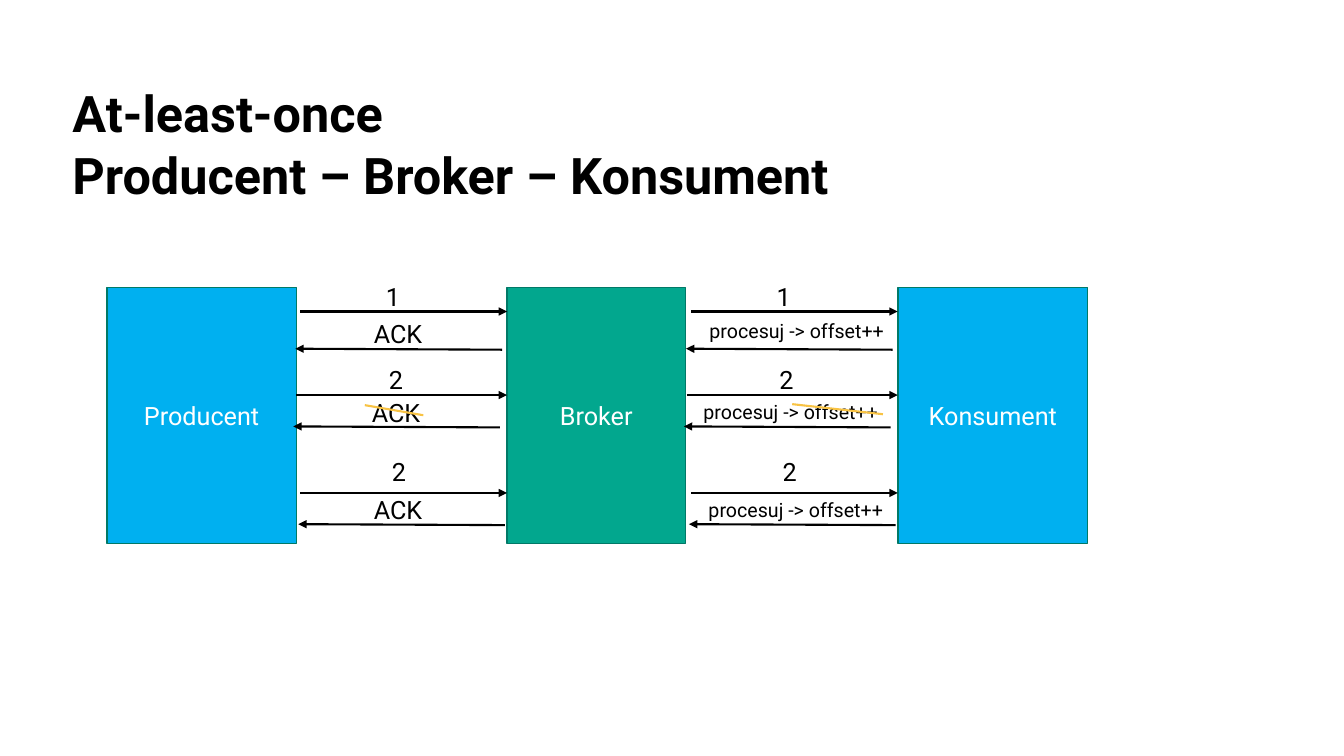
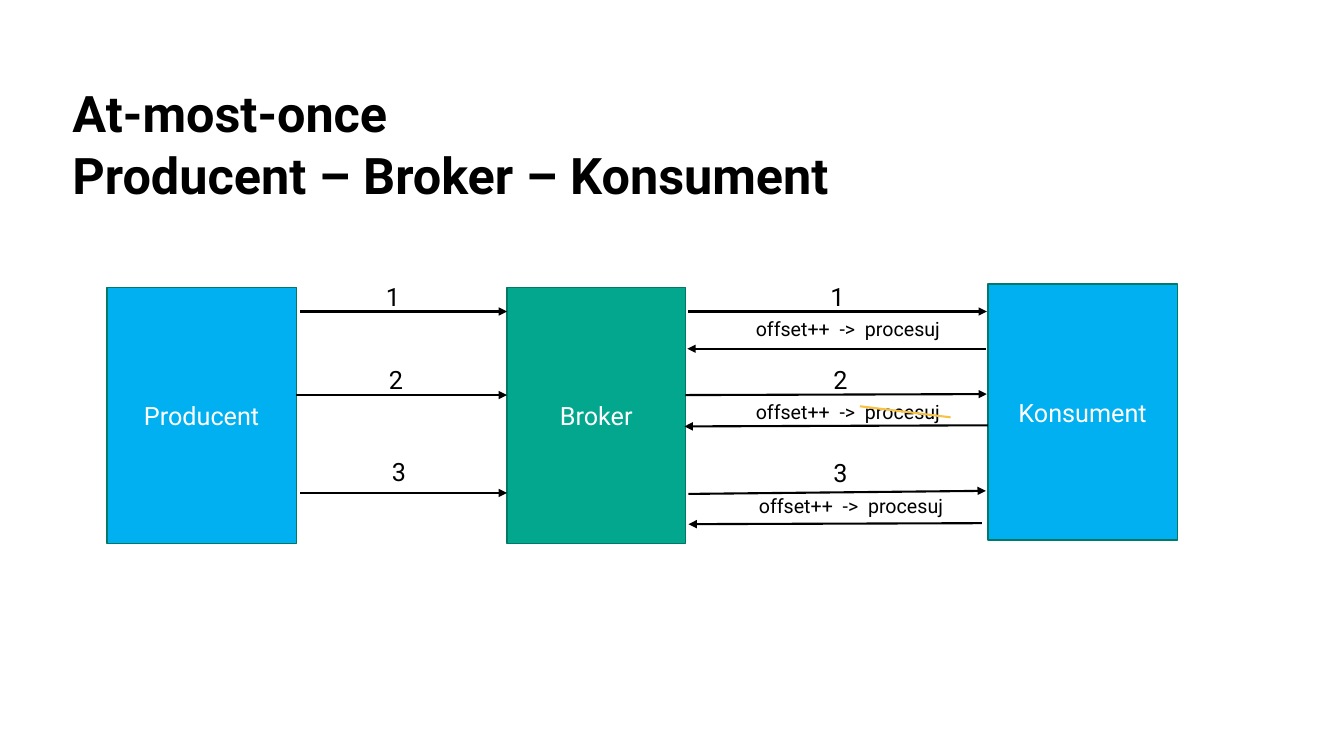
from dataclasses import dataclass, replace

from lxml import etree
from pptx import Presentation
from pptx.dml.color import RGBColor
from pptx.enum.shapes import MSO_CONNECTOR, MSO_SHAPE
from pptx.enum.text import MSO_ANCHOR, MSO_AUTO_SIZE, PP_ALIGN
from pptx.oxml.ns import qn
from pptx.shapes.connector import Connector
from pptx.slide import Slide
from pptx.util import Pt

STRAIGHT = MSO_CONNECTOR.STRAIGHT
RECTANGLE = MSO_SHAPE.RECTANGLE
MIDDLE = MSO_ANCHOR.MIDDLE
BOTTOM = MSO_ANCHOR.BOTTOM
FIT_TEXT = MSO_AUTO_SIZE.SHAPE_TO_FIT_TEXT
CENTER = PP_ALIGN.CENTER

FONT = "Roboto"
BLACK = "000000"
WHITE = "FFFFFF"
BLUE = "00B0F0"
GREEN = "02A78E"
DARK_GREEN = "017967"
YELLOW = "F8C344"

SUBTITLE = "Producent – Broker – Konsument"
NODE_TOP = 205.2
NODE_HEIGHT = 182.9
CONSUMER_SHIFT = 279


@dataclass(frozen=True)
class Node:
    name: str
    left: float
    width: float
    fill: str
    top: float = NODE_TOP


@dataclass(frozen=True)
class Line:
    x1: float
    y1: float
    x2: float
    y2: float

    def shifted(self, dx: float) -> "Line":
        return replace(self, x1=self.x1 + dx, x2=self.x2 + dx)


@dataclass(frozen=True)
class Label:
    text: str
    left: float
    top: float
    width: float = 20.2
    size: int = 18

    def shifted(self, dx: float) -> "Label":
        return replace(self, left=self.left + dx)


@dataclass(frozen=True)
class Diagram:
    title: str
    nodes: list[Node]
    arrows: list[Line]
    labels: list[Label]
    strikes: list[Line]


def color(value: str) -> RGBColor:
    return RGBColor.from_string(value)


def style_text(paragraph, size: int, shade: str, bold: bool = False) -> None:
    for run in paragraph.runs:
        run.font.name = FONT
        run.font.size = Pt(size)
        run.font.bold = bold
        run.font.color.rgb = color(shade)


def add_title(slide: Slide, title: str) -> None:
    box = slide.shapes.add_textbox(Pt(51.8), Pt(42.5), Pt(676.8), Pt(103.7))
    frame = box.text_frame
    frame.word_wrap = True
    frame.vertical_anchor = BOTTOM
    frame.margin_left = frame.margin_right = frame.margin_bottom = 0
    frame.text = f"{title}\n{SUBTITLE}"
    for paragraph in frame.paragraphs:
        paragraph.line_spacing = Pt(44)
        style_text(paragraph, 36, BLACK, True)


def add_node(slide: Slide, node: Node) -> None:
    shape = slide.shapes.add_shape(
        RECTANGLE, Pt(node.left), Pt(node.top), Pt(node.width), Pt(NODE_HEIGHT)
    )
    shape.shadow.inherit = False
    shape.fill.solid()
    shape.fill.fore_color.rgb = color(node.fill)
    shape.line.color.rgb = color(DARK_GREEN)
    shape.line.width = Pt(1)
    frame = shape.text_frame
    frame.vertical_anchor = MIDDLE
    frame.text = node.name
    frame.paragraphs[0].alignment = CENTER
    style_text(frame.paragraphs[0], 18, WHITE)


def add_line(slide: Slide, line: Line, shade: str) -> Connector:
    connector = slide.shapes.add_connector(
        STRAIGHT, Pt(line.x1), Pt(line.y1), Pt(line.x2), Pt(line.y2)
    )
    connector.line.color.rgb = color(shade)
    connector.line.width = Pt(1.5)
    etree.SubElement(connector._element.spPr, qn("a:effectLst"))
    return connector


def add_arrow(slide: Slide, line: Line) -> None:
    connector = add_line(slide, line, BLACK)
    outline = connector.line._get_or_add_ln()
    etree.SubElement(outline, qn("a:tailEnd"), type="triangle")


def add_label(slide: Slide, label: Label) -> None:
    box = slide.shapes.add_textbox(
        Pt(label.left), Pt(label.top), Pt(label.width), Pt(label.size + 10.5)
    )
    frame = box.text_frame
    frame.word_wrap = True
    frame.auto_size = FIT_TEXT
    frame.text = label.text
    style_text(frame.paragraphs[0], label.size, BLACK)


def draw(slide: Slide, diagram: Diagram) -> None:
    add_title(slide, diagram.title)
    for node in diagram.nodes:
        add_node(slide, node)
    for arrow in diagram.arrows:
        add_arrow(slide, arrow)
    for label in diagram.labels:
        add_label(slide, label)
    for strike in diagram.strikes:
        add_line(slide, strike, YELLOW)


def message_numbers(numbers: str) -> list[Label]:
    places = [(268.6, 197.3), (270.7, 256.5), (272.9, 322.6)]
    return [Label(number, *place) for number, place in zip(numbers, places)]


def step_labels(text: str, places: list[tuple[float, float]]) -> list[Label]:
    return [Label(text, left, top, 205, 14) for left, top in places]


SHARED_NODES = [
    Node("Broker", 362.2, 127.4, GREEN),
    Node("Producent", 76.3, 135.4, BLUE),
]
SENDS = [
    Line(214.6, 222.5, 362.2, 222.5),
    Line(211.7, 282.2, 362.2, 282.2),
    Line(214.6, 352.1, 362.2, 352.1),
]
REPLIES = [
    Line(right, y, right - 147.6, y - 0.7)
    for right, y in [(358.6, 249.8), (357.1, 305.3), (360.7, 375.1)]
]


def at_least_once() -> Diagram:
    exchange = SENDS + REPLIES
    numbers = message_numbers("122")
    acks = [
        Label("ACK", left, top, 64)
        for left, top in [(259.9, 223.9), (258.5, 280.1), (259.9, 349.2)]
    ]
    steps = step_labels(
        "procesuj -> offset++", [(499.7, 224.6), (495.4, 282.2), (499, 352.1)]
    )
    return Diagram(
        "At-least-once",
        SHARED_NODES + [Node("Konsument", 641.5, 135.4, BLUE)],
        exchange + [arrow.shifted(CONSUMER_SHIFT) for arrow in exchange],
        numbers
        + acks
        + [number.shifted(CONSUMER_SHIFT) for number in numbers]
        + steps,
        [Line(260.6, 289.4, 302.4, 296.6), Line(565.9, 288.7, 630.7, 295.9)],
    )


def at_most_once() -> Diagram:
    deliveries = [
        Line(491.8, 222.5, 704.9, 222.5),
        Line(489.6, 282.2, 704.9, 281.5),
        Line(491.8, 352.8, 704.2, 350.6),
    ]
    commits = [
        Line(704.2, 249.1, 491, 249.1),
        Line(705.6, 303.8, 488.9, 304.6),
        Line(701.3, 373.7, 491.8, 374.4),
    ]
    numbers = message_numbers("123")
    delivery_numbers = [
        Label("1", 586.1, 197.3),
        Label("2", 588.2, 257),
        Label("3", 588.2, 323.3),
    ]
    steps = step_labels(
        "offset++  ->  procesuj", [(532.8, 222.5), (532.8, 282.2), (535, 349.2)]
    )
    return Diagram(
        "At-most-once",
        SHARED_NODES + [Node("Konsument", 705.6, 135.4, BLUE, 203)],
        SENDS + deliveries + commits,
        numbers + delivery_numbers + steps,
        [Line(614.2, 290.2, 679, 298.1)],
    )


def main() -> None:
    presentation = Presentation()
    presentation.slide_width = Pt(960)
    presentation.slide_height = Pt(540)
    blank = presentation.slide_layouts[6]
    for diagram in (at_least_once(), at_most_once()):
        draw(presentation.slides.add_slide(blank), diagram)
    presentation.save("out.pptx")


if __name__ == "__main__":
    main()
